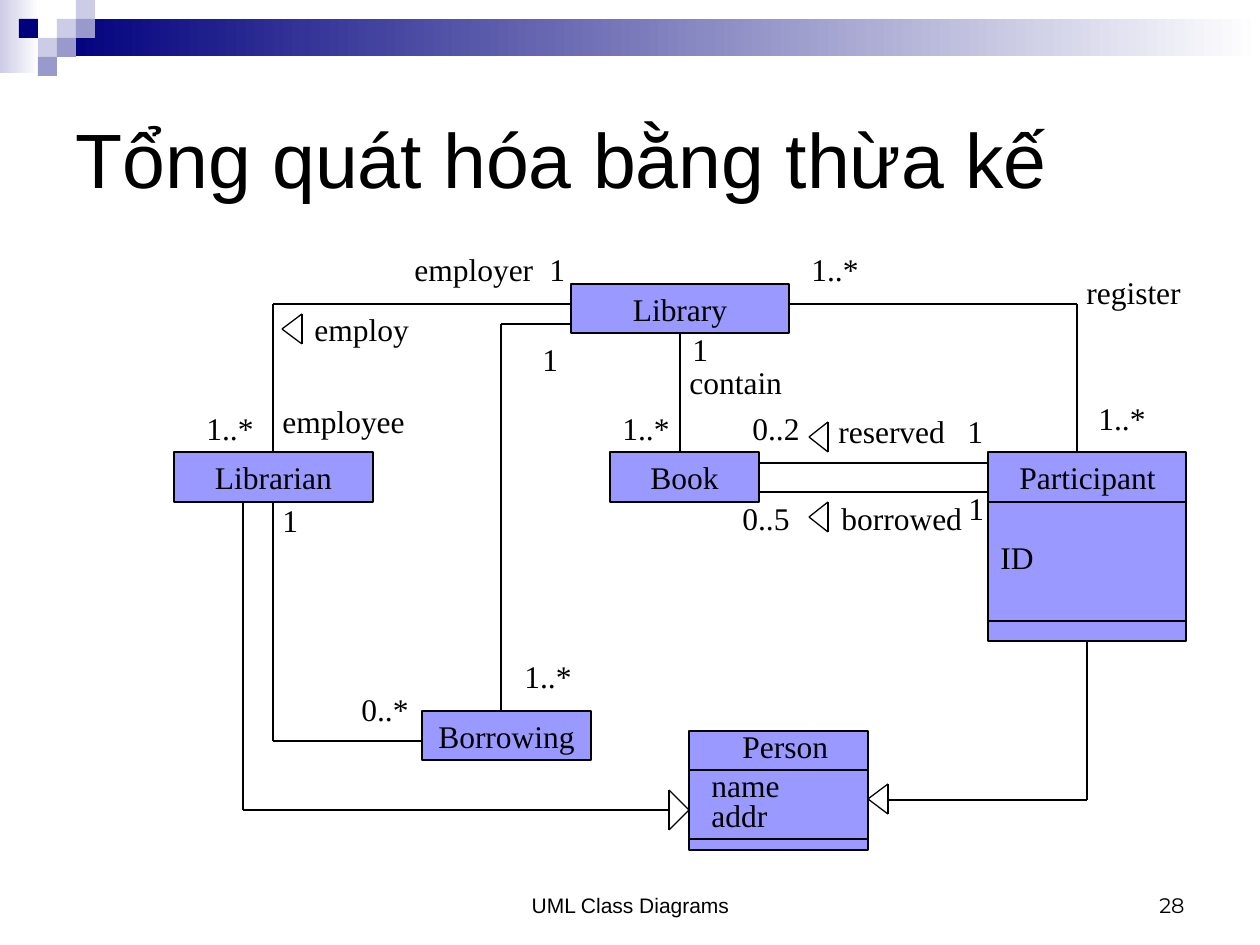
from dataclasses import dataclass

from lxml import etree
from pptx import Presentation
from pptx.dml.color import RGBColor
from pptx.enum.shapes import MSO_CONNECTOR, MSO_SHAPE
from pptx.enum.text import MSO_ANCHOR, MSO_AUTO_SIZE, PP_ALIGN
from pptx.oxml.ns import qn
from pptx.util import Pt

RECT = MSO_SHAPE.RECTANGLE
STRAIGHT = MSO_CONNECTOR.STRAIGHT
MIDDLE, BOTTOM = MSO_ANCHOR.MIDDLE, MSO_ANCHOR.BOTTOM
LEFT, CENTER, RIGHT = PP_ALIGN.LEFT, PP_ALIGN.CENTER, PP_ALIGN.RIGHT
FIT_SHAPE, NO_FIT = MSO_AUTO_SIZE.SHAPE_TO_FIT_TEXT, MSO_AUTO_SIZE.NONE
PX = 914400 / 126


@dataclass(frozen=True)
class Theme:
    black: RGBColor = RGBColor(0x00, 0x00, 0x00)
    white: RGBColor = RGBColor(0xFF, 0xFF, 0xFF)
    navy: RGBColor = RGBColor(0x00, 0x00, 0x7D)
    mid: RGBColor = RGBColor(0x99, 0x99, 0xCC)
    pale: RGBColor = RGBColor(0xCC, 0xCC, 0xE6)
    node: RGBColor = RGBColor(0x99, 0x99, 0xFF)
    heading: str = "Arial"
    body: str = "Times New Roman"
    number: str = "Montserrat"
    title_pt: Pt = Pt(44)
    body_pt: Pt = Pt(18)
    footer_pt: Pt = Pt(12)
    line_pt: Pt = Pt(0.75)


theme = Theme()


def emu(*lengths):
    return [round(n * PX) for n in lengths]


def write(tf, text, font, size, align=LEFT):
    p = tf.paragraphs[0]
    p.text = text
    p.alignment = align
    p.font.name = font
    p.font.size = size
    p.font.color.rgb = theme.black


prs = Presentation()
prs.slide_width, prs.slide_height = emu(1260, 945)
s = prs.slides.add_slide(prs.slide_layouts[5])

for x, y, w, h, color in [
    (0, 0, 39, 73, theme.pale),
    (57, 19, 1203, 37, theme.navy),
]:
    sp = s.shapes.add_shape(RECT, *emu(x, y, w, h))
    sp.shadow.inherit = False
    sp.line.fill.background()
    sp.fill.gradient()
    sp.fill.gradient_angle = 180
    for stop, stop_color in zip(sp.fill.gradient_stops, (theme.white, color)):
        stop.color.rgb = stop_color

CELL = 19
for col, row, color in [
    (3, 1, theme.pale),
    (4, 0, theme.pale),
    (4, 1, theme.mid),
    (2, 2, theme.pale),
    (1, 1, theme.navy),
    (3, 2, theme.mid),
    (2, 3, theme.mid),
]:
    sp = s.shapes.add_shape(RECT, *emu(col * CELL, row * CELL, CELL, CELL))
    sp.shadow.inherit = False
    sp.line.fill.background()
    sp.fill.solid()
    sp.fill.fore_color.rgb = color

title = s.shapes.title
title.left, title.top, title.width, title.height = emu(63, 63, 1134, 189)
tf = title.text_frame
tf.vertical_anchor = MIDDLE
tf.auto_size = NO_FIT
write(tf, "Tổng quát hóa bằng thừa kế", theme.heading, theme.title_pt)

for x, y, w, h, name in [
    (571, 284, 218, 49, "Library"),
    (174, 452, 199, 50, "Librarian"),
    (988, 452, 198, 189, ""),
    (610, 452, 149, 50, "Book"),
    (422, 711, 169, 49, "Borrowing"),
    (689, 731, 179, 119, ""),
]:
    sp = s.shapes.add_shape(RECT, *emu(x, y, w, h))
    sp.shadow.inherit = False
    sp.fill.solid()
    sp.fill.fore_color.rgb = theme.node
    sp.line.color.rgb = theme.black
    sp.line.width = theme.line_pt
    if name:
        tf = sp.text_frame
        tf.word_wrap = False
        tf.vertical_anchor = MIDDLE
        write(tf, name, theme.body, theme.body_pt, CENTER)

routes = [
    [(571, 304), (273, 304), (273, 452)],
    [(571, 324), (501, 324), (501, 711)],
    [(680, 334), (680, 452)],
    [(789, 304), (1077, 304), (1077, 452)],
    [(988, 463), (759, 463)],
    [(988, 492), (759, 492)],
    [(273, 502), (273, 741), (422, 741)],
    [(243, 502), (243, 810), (669, 810)],
    [(1087, 641), (1087, 800), (888, 800)],
    [(988, 502), (1186, 502)],
    [(988, 621), (1186, 621)],
    [(689, 770), (868, 770)],
    [(689, 839), (868, 839)],
]
for tip_x, tip_y, base_x, half in [
    (809, 437, 828, 15),
    (809, 517, 828, 15),
    (868, 799, 888, 15),
    (689, 810, 669, 20),
    (282, 329, 302, 15),
]:
    tip, upper, lower = (tip_x, tip_y), (base_x, tip_y - half), (base_x, tip_y + half)
    routes.append([upper, tip, lower, upper])

for route in routes:
    for start, end in zip(route, route[1:]):
        c = s.shapes.add_connector(STRAIGHT, *emu(*start, *end))
        c.line.color.rgb = theme.black
        c.line.width = theme.line_pt
        etree.SubElement(c._element.spPr, qn("a:effectLst"))

for x, y, w, text in [
    (402, 244, 146, "employer"),
    (537, 244, 42, "1"),
    (799, 244, 74, "1..*"),
    (1074, 267, 122, "register"),
    (302, 304, 122, "employ"),
    (530, 334, 42, "1"),
    (680, 324, 42, "1"),
    (677, 357, 120, "contain"),
    (194, 403, 74, "1..*"),
    (270, 396, 150, "employee"),
    (610, 403, 74, "1..*"),
    (740, 403, 74, "0..2"),
    (826, 406, 134, "reserved"),
    (955, 406, 42, "1"),
    (1086, 393, 74, "1..*"),
    (270, 495, 42, "1"),
    (730, 493, 74, "0..5"),
    (829, 493, 148, "borrowed"),
    (956, 483, 42, "1"),
    (512, 651, 74, "1..*"),
    (349, 684, 74, "0..*"),
    (1007, 452, 164, "Participant"),
    (988, 532, 60, "ID"),
    (730, 721, 113, "Person"),
    (699, 760, 95, "name"),
    (699, 790, 83, "addr"),
]:
    tf = s.shapes.add_textbox(*emu(x, y, w, 50)).text_frame
    tf.word_wrap = False
    tf.auto_size = FIT_SHAPE
    write(tf, text, theme.body, theme.body_pt)

for x, w, text, font, align in [
    (431, 399, "UML Class Diagrams", theme.heading, CENTER),
    (903, 294, "28", theme.number, RIGHT),
]:
    tf = s.shapes.add_textbox(*emu(x, 861, w, 63)).text_frame
    tf.word_wrap = True
    tf.vertical_anchor = BOTTOM
    write(tf, text, font, theme.footer_pt, align)

prs.save("out.pptx")
